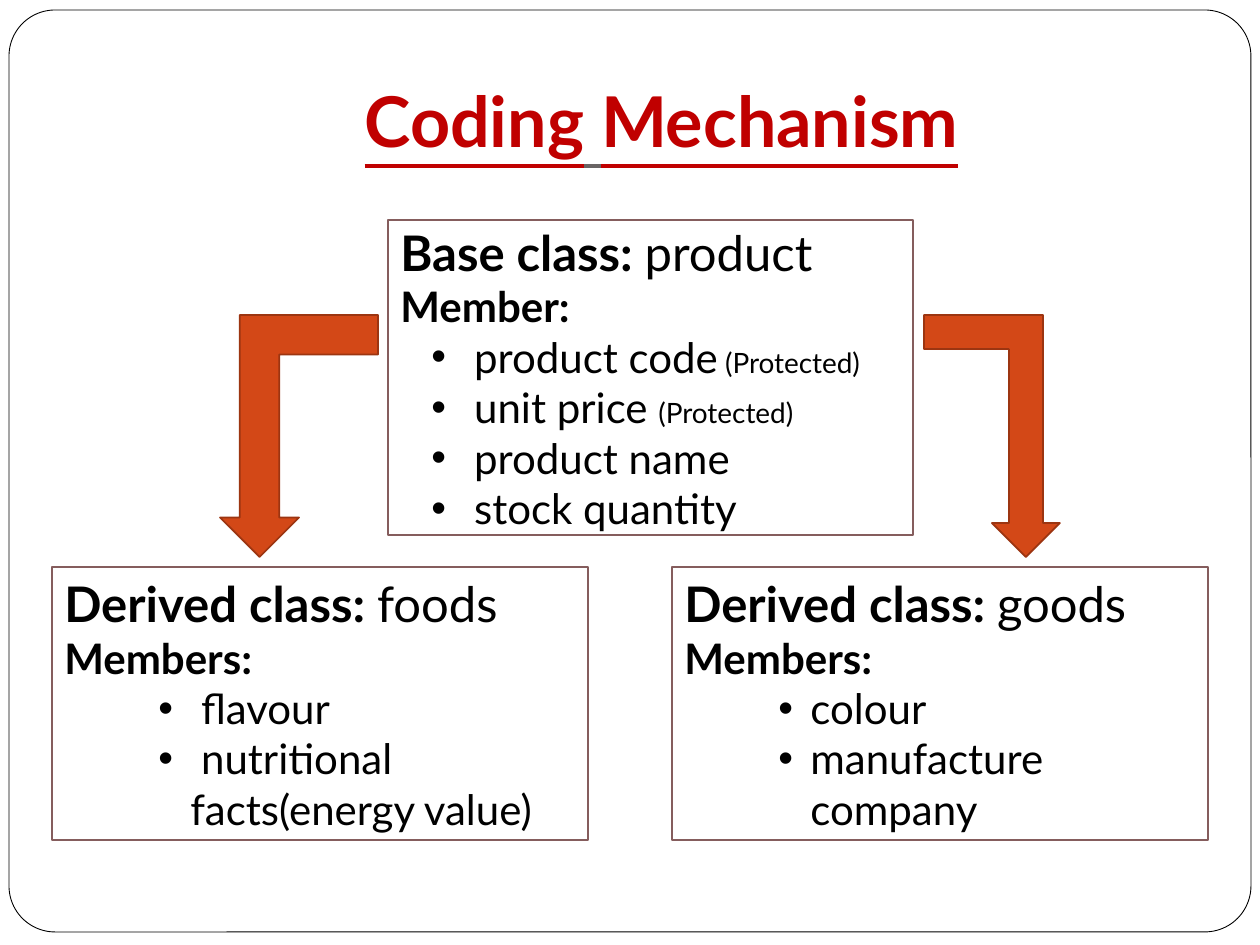
import pptx
import pptx.util
import pptx.dml.color
import pptx.enum.shapes
import pptx.enum.text
import pptx.oxml.ns
import lxml.etree

Shape = pptx.enum.shapes.MSO_SHAPE
Align = pptx.enum.text.PP_ALIGN
Anchor = pptx.enum.text.MSO_ANCHOR

SCALE = 914400 / 126
FONT = "Lato"
COLORS = {
    "white": "FFFFFF", "black": "000000", "title": "C00000",
    "gap": "696464", "edge": "855D5D", "arrow": "D34817", "rim": "9C3511",
}


def px(num):
    return pptx.util.Emu(round(num * SCALE))


def color(name):
    return pptx.dml.color.RGBColor.from_string(COLORS[name])


def add_run(para, text, size, bold=False, tint="black"):
    run = para.add_run()
    run.text = text
    font = run.font
    font.name, font.size, font.bold = FONT, pptx.util.Pt(size), bold
    font.color.rgb = color(tint)
    return run


def add_form(slide, kind, box, fill, line, width=1):
    form = slide.shapes.add_shape(kind, *map(px, box))
    form.shadow.inherit = False
    form.fill.solid()
    form.fill.fore_color.rgb = color(fill)
    form.line.color.rgb = color(line)
    form.line.width = pptx.util.Pt(width)
    return form


def add_bullet(para, left):
    props = para._p.get_or_add_pPr()
    props.set("marL", str(px(left)))
    props.set("indent", str(-px(32)))
    for tag, key, value in (("a:buFont", "typeface", "Arial"),
                            ("a:buChar", "char", "\u2022")):
        node = lxml.etree.SubElement(props, pptx.oxml.ns.qn(tag))
        node.set(key, value)


def add_title(slide, box, words):
    title = slide.shapes.title
    title.left, title.top, title.width, title.height = map(px, box)
    frame = title.text_frame
    frame.auto_size = pptx.enum.text.MSO_AUTO_SIZE.NONE
    frame.vertical_anchor = Anchor.BOTTOM
    frame.margin_bottom = px(13)
    para = frame.paragraphs[0]
    para.alignment = Align.CENTER
    for text, tint in words:
        add_run(para, text, 40, True, tint).font.underline = True


def add_class(slide, box, kind, name, label, items, left):
    """Draw a class box; each item is a name and an optional small note."""
    frame = add_form(slide, Shape.RECTANGLE, box, "white", "edge").text_frame
    frame.word_wrap = True
    frame.vertical_anchor = Anchor.MIDDLE
    head = frame.paragraphs[0]
    add_run(head, kind + ": ", 28, True)
    add_run(head, name, 28)
    add_run(frame.add_paragraph(), label, 24, True)
    for item, note in items:
        para = frame.add_paragraph()
        add_bullet(para, left)
        add_run(para, item, 24)
        if note:
            add_run(para, note, 16)
    for para in frame.paragraphs:
        para.alignment = Align.LEFT


def add_arrow(slide, box, flip=False):
    arrow = add_form(slide, Shape.BENT_UP_ARROW, box, "arrow", "rim")
    arrow.rotation = 180
    if flip:
        arrow._element.spPr.xfrm.set("flipH", "1")


deck = pptx.Presentation()
deck.slide_width, deck.slide_height = px(1260), px(945)
slide = deck.slides.add_slide(deck.slide_layouts[5])

# Frame, kept behind the title
frame = add_form(slide, Shape.ROUNDED_RECTANGLE, (9, 10, 1242, 922),
                 "white", "black", 0.5)
frame.adjustments[0] = 0.05
slide.shapes.title._element.addprevious(frame._element)

# Title
add_title(slide, (126, 53, 1071, 122),
          (("Coding", "title"), (" ", "gap"), ("Mechanism", "title")))

# Base class
add_class(slide, (388, 220, 525, 315), "Base class", "product", "Member:",
          ((" product code", " (Protected)"), (" unit price ", "(Protected)"),
           (" product name", ""), (" stock quantity", "")), 63)

# Derived classes
derived = (
    (52, "foods", (" flavour", " nutritional facts(energy value)")),
    (672, "goods", ("colour", "manufacture company")),
)
for left, name, items in derived:
    add_class(slide, (left, 567, 536, 273), "Derived class", name, "Members:",
              [(item, "") for item in items], 126)

# Arrows from base to derived
add_arrow(slide, (220, 315, 158, 242))
add_arrow(slide, (924, 315, 136, 242), flip=True)

deck.save("out.pptx")
